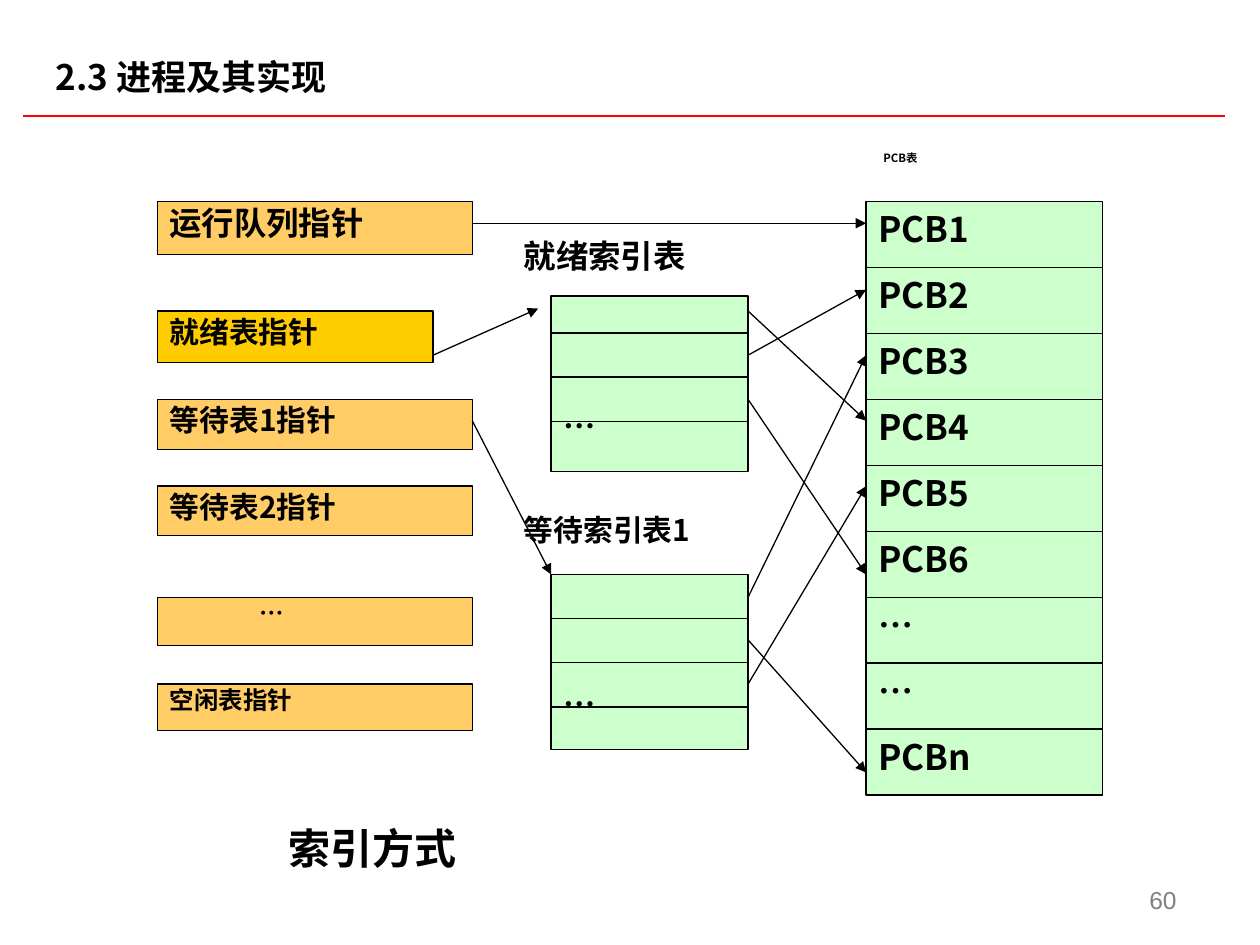
from dataclasses import dataclass

from lxml import etree
from pptx import Presentation, util as u
from pptx.dml.color import RGBColor
from pptx.enum import shapes, text
from pptx.oxml.ns import qn


@dataclass(frozen=True)
class Theme:
    font: str = "Noto Sans CJK SC"
    number_font: str = "Arial"
    ink: str = "000000"
    gray: str = "808080"
    paper: str = "FFFFFF"
    accent: str = "FF0000"
    orange: str = "FFCC66"
    gold: str = "FFCC00"
    green: str = "CCFFCC"
    caption: float = 24
    heading: float = 20
    large: float = 18.5
    medium: float = 17
    small: float = 14
    tiny: float = 6.5
    thin: float = 0.75
    thick: float = 1.5


THEME = Theme()


def write(shape, content, size, font=THEME.font, color=THEME.ink, bold=True,
          align=text.PP_ALIGN.JUSTIFY, anchor=text.MSO_ANCHOR.TOP,
          spacing=1.0, inset_left=0.25, inset_top=0.13):
    """Fill a shape with one formatted paragraph; insets are in cm."""
    frame = shape.text_frame
    frame.word_wrap = True
    frame.auto_size = text.MSO_AUTO_SIZE.NONE
    frame.vertical_anchor = anchor
    frame.margin_left, frame.margin_top = u.Cm(inset_left), u.Cm(inset_top)
    frame.margin_right, frame.margin_bottom = u.Cm(0.25), u.Cm(0.13)
    paragraph = frame.paragraphs[0]
    paragraph.alignment = align
    paragraph.line_spacing = spacing
    paragraph.space_before = u.Pt(0)
    run = paragraph.add_run()
    run.text = content
    run.font.size = u.Pt(size)
    run.font.bold = bold
    run.font.color.rgb = RGBColor.from_string(color)
    run.font.name = font
    east_asian = etree.SubElement(run.font._element, qn("a:ea"))
    east_asian.set("typeface", font)


class SlideBuilder:
    """Holds the theme and the current slide; all lengths are in cm."""

    def __init__(self, slide, theme):
        self.slide = slide
        self.theme = theme

    def title(self, content, left, top, width, height):
        shape = self.slide.shapes.title
        shape.left, shape.top = u.Cm(left), u.Cm(top)
        shape.width, shape.height = u.Cm(width), u.Cm(height)
        shape.fill.solid()
        shape.fill.fore_color.rgb = RGBColor.from_string(self.theme.paper)
        write(shape, content, self.theme.heading, inset_left=0.23, inset_top=0.1,
              align=text.PP_ALIGN.LEFT, anchor=text.MSO_ANCHOR.MIDDLE)

    def label(self, content, left, top, width, height, **style):
        shape = self.slide.shapes.add_textbox(
            u.Cm(left), u.Cm(top), u.Cm(width), u.Cm(height))
        write(shape, content, **style)

    def box(self, content, left, top, width, height, fill, **style):
        shape = self.slide.shapes.add_shape(
            shapes.MSO_SHAPE.RECTANGLE,
            u.Cm(left), u.Cm(top), u.Cm(width), u.Cm(height))
        shape.shadow.inherit = False
        shape.fill.solid()
        shape.fill.fore_color.rgb = RGBColor.from_string(fill)
        shape.line.color.rgb = RGBColor.from_string(self.theme.ink)
        shape.line.width = u.Pt(self.theme.thin)
        write(shape, content, **style)

    def line(self, start, end, color=None, width=None, arrow=False):
        connector = self.slide.shapes.add_connector(
            shapes.MSO_CONNECTOR.STRAIGHT,
            *(u.Cm(value) for value in (*start, *end)))
        connector.line.color.rgb = RGBColor.from_string(color or self.theme.ink)
        connector.line.width = u.Pt(width or self.theme.thin)
        if arrow:
            outline = connector.line._get_or_add_ln()
            etree.SubElement(outline, qn("a:tailEnd")).set("type", "triangle")
        etree.SubElement(connector._element.spPr, qn("a:effectLst"))

    def index_table(self, left, top, width, height, first_row, row):
        self.box("…", left, top, width, height, self.theme.green,
                 size=self.theme.large, spacing=0.9, inset_top=2.31)
        for divider in range(3):
            y = top + first_row + divider * row
            self.line((left, y), (left + width, y))


def main():
    presentation = Presentation()
    presentation.slide_width, presentation.slide_height = u.Cm(25.4), u.Cm(19.05)
    slide = presentation.slides.add_slide(presentation.slide_layouts[5])
    builder = SlideBuilder(slide, THEME)

    builder.title("2.3 进程及其实现", 0.89, 1.12, 14.68, 0.86)
    builder.line((0.46, 2.34), (24.69, 2.34), THEME.accent, THEME.thick)

    pointer_left, pointer_width = 3.17, 6.35
    index_left, index_width = 11.11, 3.97
    pcb_left, pcb_width, pcb_top, pcb_height = 17.46, 4.76, 4.06, 1.33
    pointer_right = pointer_left + pointer_width
    index_right = index_left + index_width

    pointers = [
        ("运行队列指针", 4.06, 1.07, THEME.large, 0.9),
        ("等待表1指针", 8.05, 1.02, THEME.medium, 0.9),
        ("等待表2指针", 9.8, 0.99, THEME.medium, 0.9),
        ("空闲表指针", 13.79, 0.94, THEME.small, 0.8),
    ]
    for name, top, height, size, spacing in pointers:
        builder.box(name, pointer_left, top, pointer_width, height,
                    THEME.orange, size=size, spacing=spacing)
    builder.box("就绪表指针", pointer_left, 6.27, 5.56, 1.04, THEME.gold,
                size=THEME.medium, spacing=0.9)
    builder.box("…", pointer_left, 12.04, pointer_width, 0.97, THEME.orange,
                size=THEME.small, spacing=0.8, inset_left=2.06)

    builder.label("PCB表", pcb_left, 2.97, pcb_width, 0.86,
                  size=THEME.tiny, spacing=0.8, inset_left=0.35)
    entries = ["PCB1", "PCB2", "PCB3", "PCB4", "PCB5", "PCB6", "…", "…", "PCBn"]
    for row, entry in enumerate(entries):
        builder.box(entry, pcb_left, pcb_top + row * pcb_height, pcb_width,
                    pcb_height, THEME.green, size=THEME.heading)

    builder.index_table(index_left, 5.97, index_width, 3.53, 0.74, 0.89)
    builder.index_table(index_left, 11.58, index_width, 3.53, 0.89, 0.89)
    builder.label("就绪索引表", 10.31, 4.72, 5.51, 1.07,
                  size=THEME.large, spacing=0.9)
    builder.label("等待索引表1", 10.31, 10.26, 6.22, 0.99,
                  size=THEME.medium, spacing=0.9)

    pointer_arrows = [
        ((8.73, 7.16), (10.85, 6.22)),
        ((pointer_right, 8.48), (index_left, 11.58)),
        ((pointer_right, 4.5), (pcb_left, 4.5)),
    ]
    index_to_pcb = [(6.27, 8.48), (12.04, 7.16), (7.16, 5.84),
                    (13.79, 9.8), (12.9, 15.57), (8.05, 11.58)]
    index_arrows = [((index_right, start), (pcb_left, end))
                    for start, end in index_to_pcb]
    for start, end in pointer_arrows + index_arrows:
        builder.line(start, end, arrow=True)

    builder.label("索引方式", 5.56, 16.46, 7.44, 1.32, size=THEME.caption)
    builder.label("60", 18.69, 17.3, 5.28, 1.27, size=THEME.small,
                  font=THEME.number_font, color=THEME.gray, bold=False,
                  align=text.PP_ALIGN.RIGHT, anchor=text.MSO_ANCHOR.BOTTOM)

    presentation.save("out.pptx")


if __name__ == "__main__":
    main()
